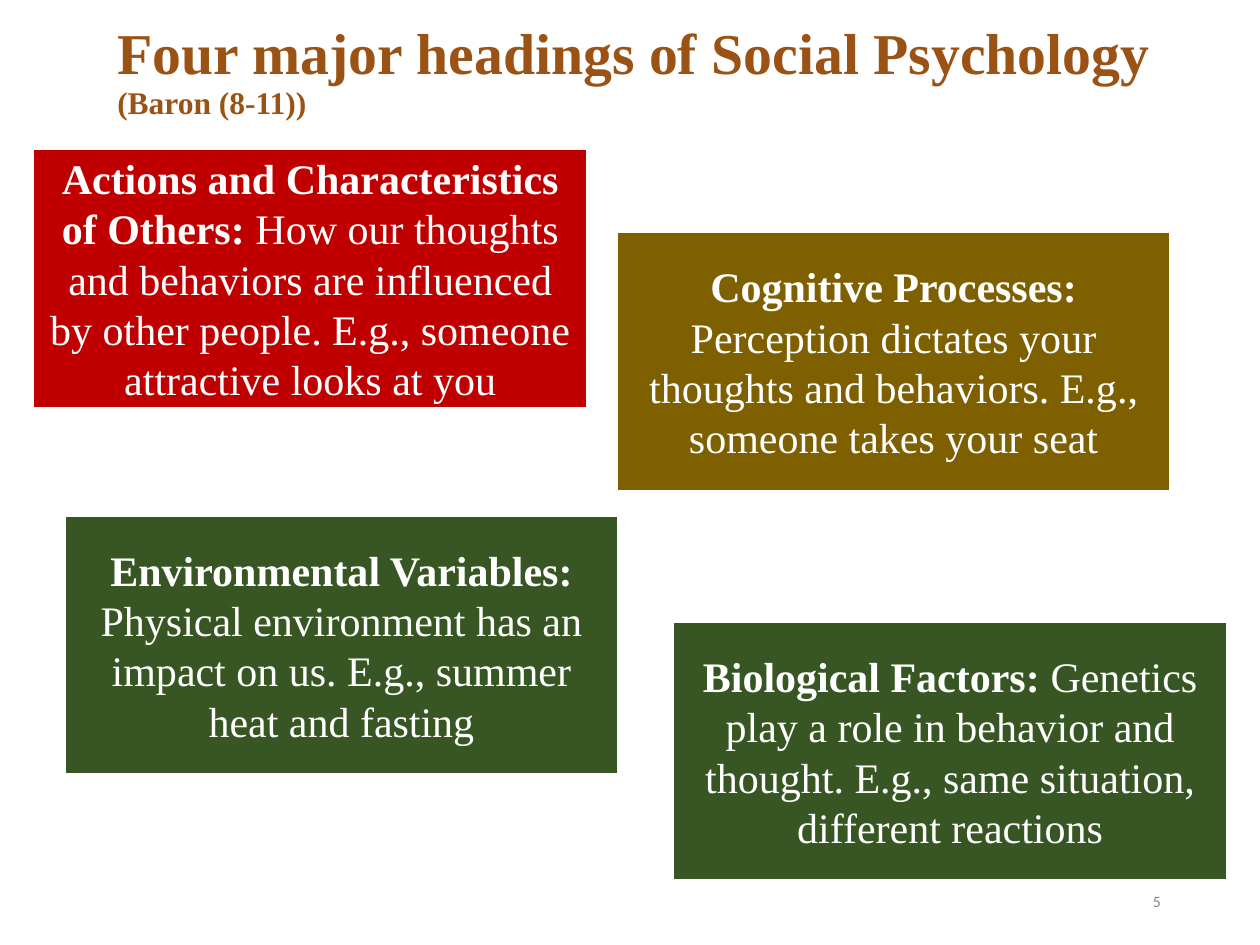
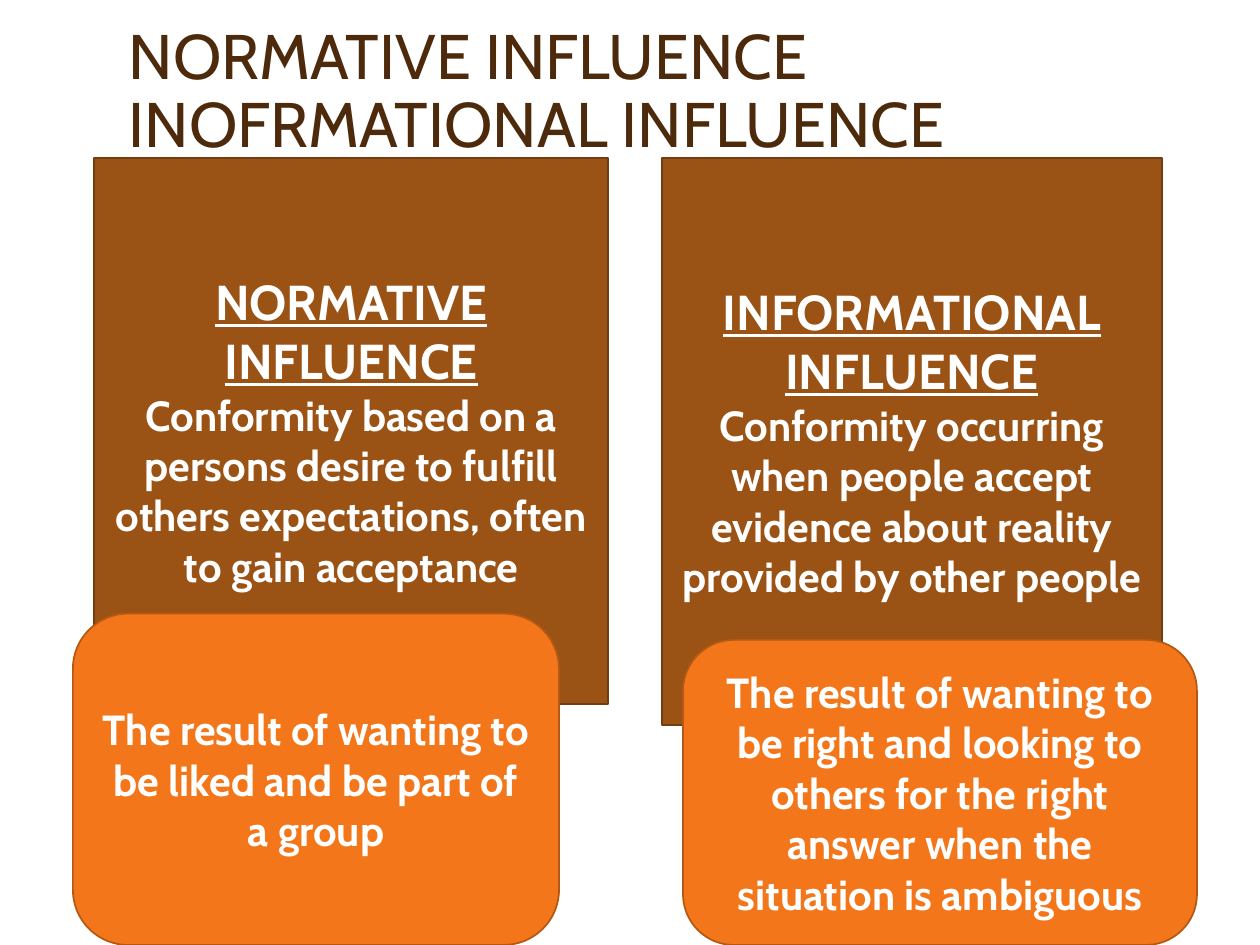
from copy import deepcopy

from pptx import Presentation
from pptx.dml.color import RGBColor
from pptx.enum.shapes import MSO_SHAPE
from pptx.enum.text import MSO_ANCHOR, MSO_AUTO_SIZE, PP_ALIGN
from pptx.util import Cm, Pt

WHITE = RGBColor(0xFF, 0xFF, 0xFF)
GREY = RGBColor(0x88, 0x88, 0x88)
BROWN = RGBColor(0x9A, 0x53, 0x15)
DARK = RGBColor(0x4D, 0x2A, 0x0B)
EDGE = RGBColor(0x72, 0x3D, 0x10)
ORANGE = RGBColor(0xF3, 0x77, 0x1A)
RUST = RGBColor(0xB4, 0x58, 0x13)
RED = RGBColor(0xC0, 0x00, 0x00)
OLIVE = RGBColor(0x7F, 0x60, 0x00)
GREEN = RGBColor(0x38, 0x56, 0x23)

SERIF, SANS, PLAIN = "Times New Roman", "Cabin", "Calibri"
TITLE_ONLY = 5
CARD = (11.23, 5.28)


def write(para, text, font=SANS, size=24, color=WHITE, bold=False, under=False):
    """Add a formatted run; each newline becomes a line break."""
    for i, line in enumerate(text.split("\n")):
        if i:
            para.add_line_break()
            # The break takes the run's size, so it does not stretch the line.
            para._p[-1].append(deepcopy(run._r.rPr))
        if not line:
            continue
        run = para.add_run()
        run.text = line
        run.font.name = font
        run.font.size = Pt(size)
        run.font.color.rgb = color
        run.font.bold = bold
        run.font.underline = under


class Deck:
    def __init__(self):
        self.prs = Presentation()
        self.prs.slide_width, self.prs.slide_height = Cm(25.4), Cm(19.05)
        self.slide = None

    def start(self):
        layout = self.prs.slide_layouts[TITLE_ONLY]
        self.slide = self.prs.slides.add_slide(layout)

    def frame(self, shape, anchor, align):
        """Set up the text frame and return its first paragraph."""
        frame = shape.text_frame
        frame.word_wrap = True
        frame.auto_size = MSO_AUTO_SIZE.NONE
        frame.vertical_anchor = anchor
        para = frame.paragraphs[0]
        para.alignment = align
        return para

    def title(self, place, anchor, parts):
        shape = self.slide.shapes.title
        shape.left, shape.top, shape.width, shape.height = map(Cm, place)
        para = self.frame(shape, anchor, PP_ALIGN.LEFT)
        para.line_spacing = 0.9
        for text, style in parts:
            write(para, text, **style)

    def number(self, text):
        place = map(Cm, (17.93, 17.65, 5.72, 1.02))
        box = self.slide.shapes.add_textbox(*place)
        para = self.frame(box, MSO_ANCHOR.MIDDLE, PP_ALIGN.RIGHT)
        write(para, text, font=PLAIN, size=9, color=GREY)

    def block(self, place, fill, line, width=1, kind=MSO_SHAPE.RECTANGLE):
        """Draw a filled shape and return its first, centred paragraph."""
        shape = self.slide.shapes.add_shape(kind, *map(Cm, place))
        shape.shadow.inherit = False
        shape.fill.solid()
        shape.fill.fore_color.rgb = fill
        shape.line.color.rgb = line
        shape.line.width = Pt(width)
        return shape, self.frame(shape, MSO_ANCHOR.MIDDLE, PP_ALIGN.CENTER)

    def card(self, left, top, fill, head, body):
        _, para = self.block((left, top, *CARD), fill, WHITE, width=3)
        write(para, head + " ", font=SERIF, bold=True)
        write(para, body, font=SERIF)

    def panel(self, place, head, body):
        shape, para = self.block(place, BROWN, EDGE)
        write(para, head, size=28, bold=True, under=True)
        para = shape.text_frame.add_paragraph()
        para.alignment = PP_ALIGN.CENTER
        write(para, body, bold=True)

    def result(self, place, text):
        _, para = self.block(place, ORANGE, RUST, kind=MSO_SHAPE.ROUNDED_RECTANGLE)
        write(para, text, bold=True)


def headings(deck):
    deck.start()
    style = dict(font=SERIF, color=BROWN, bold=True)
    deck.title((2.11, 0.2, 21.89, 2.54), MSO_ANCHOR.MIDDLE, [
        ("Four major headings of Social Psychology \n", dict(style, size=33)),
        ("(Baron (8-11))", dict(style, size=18)),
    ])
    deck.number("5")
    cards = [
        (0.64, 2.97, RED, "Actions and Characteristics of Others:",
         "How our thoughts and behaviors are influenced by other people. "
         "E.g., someone attractive looks at you"),
        (12.4, 4.65, OLIVE, "Cognitive Processes:",
         "Perception dictates your thoughts and behaviors. "
         "E.g., someone takes your seat"),
        (1.27, 10.36, GREEN, "Environmental Variables:",
         "Physical environment has an impact on us. "
         "E.g., summer heat and fasting"),
        (13.54, 12.5, GREEN, "Biological Factors:",
         "Genetics play a role in behavior and thought. "
         "E.g., same situation, different reactions"),
    ]
    for card in cards:
        deck.card(*card)


def influence(deck):
    deck.start()
    deck.title((2.34, 0, 20.96, 3.38), MSO_ANCHOR.BOTTOM, [
        ("NORMATIVE INFLUENCE\nINOFRMATIONAL INFLUENCE",
         dict(size=36, color=DARK)),
    ])
    deck.panel((1.9, 3.18, 10.36, 11.02), "NORMATIVE INFLUENCE",
               "Conformity based on a persons desire to fulfill others "
               "expectations, often to gain acceptance")
    deck.panel((13.34, 3.18, 10.08, 11.43), "INFORMATIONAL INFLUENCE",
               "Conformity occurring when people accept evidence about "
               "reality provided by other people")
    deck.result((1.47, 12.37, 9.8, 6.68),
                "The result of wanting to be liked and be part of a group")
    deck.result((13.77, 12.9, 10.36, 6.15),
                "The result of wanting to be right and looking to others for "
                "the right answer when the situation is ambiguous")


def main():
    deck = Deck()
    headings(deck)
    influence(deck)
    deck.prs.save("out.pptx")


if __name__ == "__main__":
    main()
